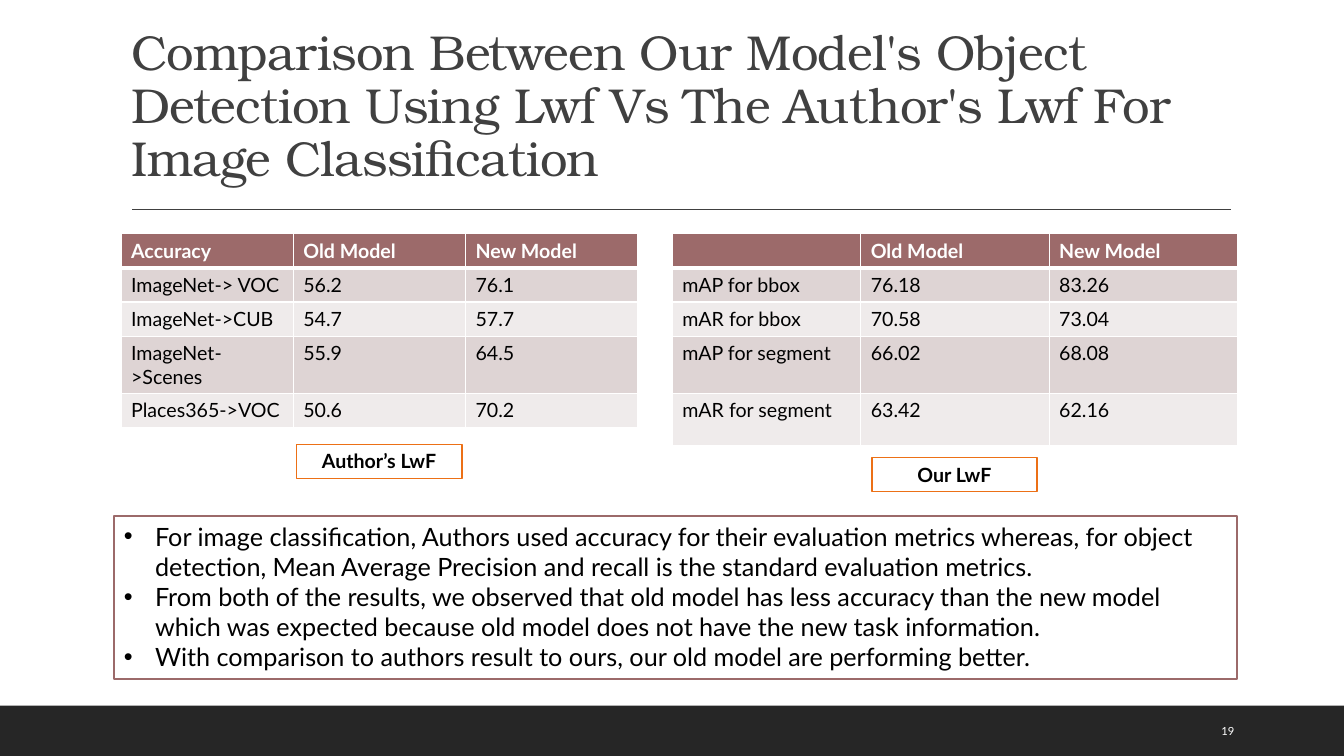
from lxml import etree
from pptx import Presentation
from pptx import util as u
from pptx.dml.color import RGBColor
from pptx.enum import shapes, text
from pptx.oxml import ns

WHITE = RGBColor(0xFF, 0xFF, 0xFF)
BLACK = RGBColor(0, 0, 0)
DARK = RGBColor(0x26, 0x26, 0x26)
GREY = RGBColor(0x40, 0x40, 0x40)
ROSE = RGBColor(0x9C, 0x6A, 0x6A)
BLUSH = RGBColor(0xDE, 0xD4, 0xD4)
PALE = RGBColor(0xEF, 0xEB, 0xEB)
ORANGE = RGBColor(0xEC, 0x70, 0x16)

AUTHOR = [
    ("Accuracy", "Old Model", "New Model"),
    ("ImageNet-> VOC", "56.2", "76.1"),
    ("ImageNet->CUB", "54.7", "57.7"),
    ("ImageNet->Scenes", "55.9", "64.5"),
    ("Places365->VOC", "50.6", "70.2"),
]
OURS = [
    ("", "Old Model", "New Model"),
    ("mAP for bbox", "76.18", "83.26"),
    ("mAR for bbox", "70.58", "73.04"),
    ("mAP for segment", "66.02", "68.08"),
    ("mAR for segment", "63.42", "62.16"),
]
NOTES = [
    "For image classification, Authors used accuracy for their evaluation metrics "
    "whereas, for object detection, Mean Average Precision and recall is the "
    "standard evaluation metrics.",
    "From both of the results, we observed that old model has less accuracy than "
    "the new model which was expected because old model does not have the new "
    "task information.",
    "With comparison to authors result to ours, our old model are performing better.",
]


def style(par, size, color, bold=False, face="Lato"):
    font = par.font
    font.name, font.size, font.bold = face, u.Pt(size), bold
    font.color.rgb = color


def add_title(slide, words):
    title = slide.shapes.title
    title.left, title.top = u.Cm(3.05), u.Cm(0.79)
    title.width, title.height = u.Cm(27.94), u.Cm(4.04)
    frame = title.text_frame
    frame.text = words
    frame.word_wrap = True
    frame.auto_size = text.MSO_AUTO_SIZE.NONE
    frame.vertical_anchor = text.MSO_ANCHOR.BOTTOM
    par = frame.paragraphs[0]
    par.alignment = text.PP_ALIGN.LEFT
    par.line_spacing = 0.9
    style(par, 35, GREY, face="TeX Gyre Bonum")
    par.runs[0].font._element.set("spc", "-50")


def add_rule(slide, left, right, top):
    rule = slide.shapes.add_connector(
        shapes.MSO_CONNECTOR.STRAIGHT, u.Cm(left), u.Cm(top), u.Cm(right), u.Cm(top))
    rule.line.color.rgb = GREY
    rule.line.width = u.Pt(1)
    etree.SubElement(rule._element.spPr, ns.qn("a:effectLst"))


def add_box(slide, left, top, width, height, fill, line=None):
    box = slide.shapes.add_shape(
        shapes.MSO_SHAPE.RECTANGLE, u.Cm(left), u.Cm(top), u.Cm(width), u.Cm(height))
    box.shadow.inherit = False
    box.fill.solid()
    box.fill.fore_color.rgb = fill
    if line is None:
        box.line.fill.background()
    else:
        box.line.color.rgb = line
        box.line.width = u.Pt(1.25)
    box.text_frame.vertical_anchor = text.MSO_ANCHOR.TOP
    return box


def add_label(slide, left, top, words):
    frame = add_box(slide, left, top, 4.17, 0.86, WHITE, ORANGE).text_frame
    frame.text = words
    par = frame.paragraphs[0]
    par.alignment = text.PP_ALIGN.CENTER
    style(par, 14, BLACK, bold=True)


def add_notes(slide, lines):
    frame = add_box(slide, 2.87, 13, 28.3, 4.11, WHITE, ROSE).text_frame
    frame.text = "\n".join(lines)
    indent = u.Cm(0.79)
    for par in frame.paragraphs:
        par.alignment = text.PP_ALIGN.LEFT
        style(par, 18, BLACK)
        props = par._p.get_or_add_pPr()
        props.set("marL", str(indent))
        props.set("indent", str(-indent))
        font = etree.Element(ns.qn("a:buFont"), typeface="Arial")
        mark = etree.Element(ns.qn("a:buChar"), char="•")
        props.insert(0, font)
        props.insert(1, mark)


def add_edges(cell, row):
    props = cell._tc.get_or_add_tcPr()
    widths = {"L": 1, "R": 1, "T": 3 if row == 1 else 1, "B": 3 if row == 0 else 1}
    for side, width in widths.items():
        edge = etree.SubElement(props, ns.qn("a:ln" + side), w=str(u.Pt(width)))
        fill = etree.SubElement(edge, ns.qn("a:solidFill"))
        etree.SubElement(fill, ns.qn("a:srgbClr"), val=str(WHITE))


def add_grid(slide, left, width, heights, data):
    grid = slide.shapes.add_table(
        len(data), len(data[0]), u.Cm(left), u.Cm(5.89),
        u.Cm(width * len(data[0])), u.Cm(sum(heights))).table
    for col in grid.columns:
        col.width = u.Cm(width)
    for row, (height, values) in enumerate(zip(heights, data)):
        grid.rows[row].height = u.Cm(height)
        fill = ROSE if row == 0 else BLUSH if row % 2 else PALE
        for col, value in enumerate(values):
            cell = grid.cell(row, col)
            add_edges(cell, row)
            cell.fill.solid()
            cell.fill.fore_color.rgb = fill
            cell.text = value
            style(cell.text_frame.paragraphs[0], 14,
                  BLACK if row else WHITE, bold=row == 0)


def add_number(slide, words):
    frame = slide.shapes.add_textbox(
        u.Cm(30.53), u.Cm(17.91), u.Cm(2.16), u.Cm(1.02)).text_frame
    frame.word_wrap = True
    frame.vertical_anchor = text.MSO_ANCHOR.MIDDLE
    frame.text = words
    style(frame.paragraphs[0], 8, WHITE)


def main():
    deck = Presentation()
    deck.slide_width, deck.slide_height = u.Cm(33.87), u.Cm(19.05)
    slide = deck.slides.add_slide(deck.slide_layouts[5])
    add_box(slide, 0, 17.78, 33.87, 1.27, DARK)
    add_rule(slide, 3.33, 31.01, 5.28)
    add_title(slide, "Comparison Between Our Model's Object Detection Using Lwf "
                     "Vs The Author's Lwf For Image Classification")
    add_grid(slide, 3.05, 4.34, [0.86, 0.86, 0.86, 1.44, 0.86], AUTHOR)
    add_grid(slide, 16.94, 4.75, [0.86, 0.86, 0.86, 1.44, 1.32], OURS)
    add_number(slide, "19")
    add_label(slide, 7.47, 11.2, "Author’s LwF")
    add_label(slide, 21.97, 11.53, "Our LwF")
    add_notes(slide, NOTES)
    deck.save("out.pptx")


if __name__ == "__main__":
    main()
